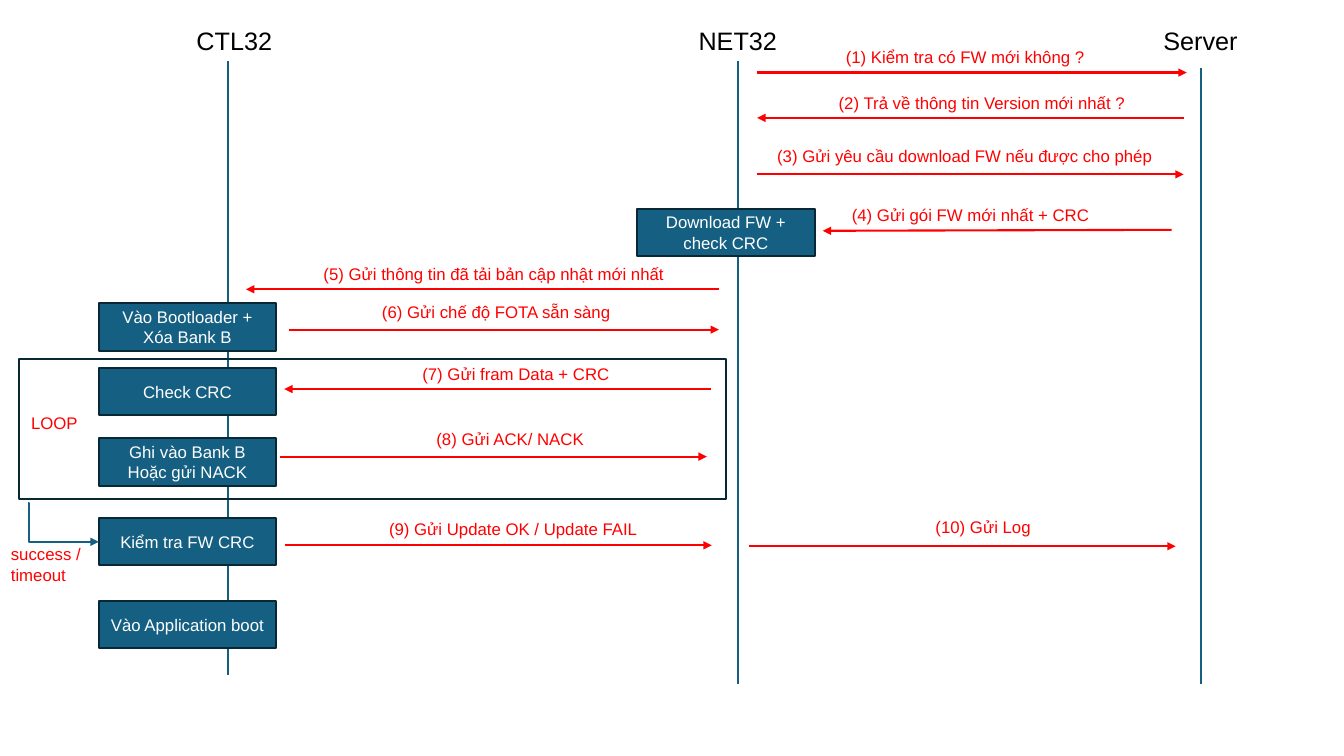
from lxml import etree
from pptx import Presentation
from pptx.dml.color import RGBColor
from pptx.enum.shapes import MSO_CONNECTOR, MSO_SHAPE
from pptx.enum.text import MSO_ANCHOR, PP_ALIGN
from pptx.oxml.ns import qn
from pptx.util import Inches, Pt

COLORS = {"teal": "156082", "navy": "082836", "red": "FF0000",
          "black": "000000", "white": "FFFFFF"}

prs = Presentation()
prs.slide_width, prs.slide_height = Inches(13.33), Inches(7.5)
shapes = prs.slides.add_slide(prs.slide_layouts[6]).shapes


def write_text(shape, text, size=12, color="red", align=PP_ALIGN.LEFT,
               anchor=MSO_ANCHOR.TOP, wrap=False):
    frame = shape.text_frame
    frame.word_wrap = wrap
    frame.vertical_anchor = anchor
    frame.text = text
    for paragraph in frame.paragraphs:
        paragraph.alignment = align
        paragraph.font.name = "Arial"
        paragraph.font.size = Pt(size)
        paragraph.font.color.rgb = RGBColor.from_string(COLORS[color])


def draw_line(x1, y1, x2, y2, color, arrow=True, kind=MSO_CONNECTOR.STRAIGHT):
    line = shapes.add_connector(kind, Inches(x1), Inches(y1), Inches(x2), Inches(y2))
    line.line.color.rgb = RGBColor.from_string(COLORS[color])
    line.line.width = Pt(1.5)
    if arrow:
        etree.SubElement(line.line._get_or_add_ln(), qn("a:tailEnd"), type="triangle")
    etree.SubElement(line._element.spPr, qn("a:effectLst"))
    return line


# Lifelines with their headings: name, left, width, line x, top, bottom
lifelines = [
    ("CTL32", 1.85, 1.02, 2.26, 0.61, 6.7),
    ("NET32", 6.83, 0.99, 7.32, 0.61, 6.79),
    ("Server", 11.44, 0.95, 11.91, 0.67, 6.79),
]
for name, left, width, x, top, bottom in lifelines:
    draw_line(x, top, x, bottom, "teal", arrow=False)
    heading = shapes.add_textbox(Inches(left), Inches(0.2), Inches(width), Inches(0.4))
    write_text(heading, name, size=18, color="black")

# Loop frame
loop = shapes.add_shape(MSO_SHAPE.RECTANGLE, Inches(0.19), Inches(3.56),
                        Inches(7.01), Inches(1.39))
loop.shadow.inherit = False
loop.fill.background()
loop.line.color.rgb = RGBColor.from_string(COLORS["navy"])
loop.line.width = Pt(1.5)

# Processing steps: text, left, top
steps = [
    ("Download FW + check CRC", 6.32, 2.07),
    ("Vào Bootloader +\nXóa Bank B", 0.98, 3.01),
    ("Check CRC", 0.98, 3.65),
    ("Ghi vào Bank B\nHoặc gửi NACK", 0.98, 4.35),
    ("Kiểm tra FW CRC", 0.98, 5.14),
    ("Vào Application boot", 0.98, 5.96),
]
step_boxes = {}
for text, left, top in steps:
    step = shapes.add_shape(MSO_SHAPE.RECTANGLE, Inches(left), Inches(top),
                            Inches(1.76), Inches(0.47))
    step.shadow.inherit = False
    step.fill.solid()
    step.fill.fore_color.rgb = RGBColor.from_string(COLORS["teal"])
    step.line.color.rgb = RGBColor.from_string(COLORS["navy"])
    step.line.width = Pt(1.5)
    write_text(step, text, color="white", align=PP_ALIGN.CENTER,
               anchor=MSO_ANCHOR.MIDDLE, wrap=True)
    step_boxes[text] = step

# Message arrows: x1, y1, x2, y2
messages = [
    (7.51, 0.72, 11.77, 0.72),
    (11.74, 1.17, 7.51, 1.17),
    (7.51, 1.73, 11.74, 1.73),
    (11.62, 2.28, 8.16, 2.29),
    (7.13, 2.87, 2.44, 2.87),
    (2.87, 3.27, 7.13, 3.27),
    (7.05, 3.86, 2.82, 3.86),
    (2.78, 4.53, 7.01, 4.53),
    (2.83, 5.41, 7.06, 5.41),
    (7.43, 5.42, 11.66, 5.42),
]
for ends in messages:
    draw_line(*ends, "red")

# Red labels: text, left, top, width
labels = [
    ("(1) Kiểm tra có FW mới không ?", 8.29, 0.41, 2.59),
    ("(2) Trả về thông tin Version mới nhất ?", 8.22, 0.87, 3.07),
    ("(3) Gửi yêu cầu download FW nếu được cho phép", 7.61, 1.4, 3.95),
    ("(4) Gửi gói FW mới nhất + CRC", 8.35, 1.98, 2.58),
    ("(5) Gửi thông tin đã tải bản cập nhật mới nhất", 3.11, 2.57, 3.61),
    ("(6) Gửi chế độ FOTA sẵn sàng", 3.69, 2.94, 2.49),
    ("(7) Gửi fram Data + CRC", 4.09, 3.56, 2.08),
    ("(8) Gửi ACK/ NACK", 4.23, 4.2, 1.68),
    ("(9) Gửi Update OK / Update FAIL", 3.76, 5.1, 2.69),
    ("(10) Gửi Log", 9.18, 5.08, 1.15),
    ("LOOP", 0.21, 4.05, 0.67),
]
for text, left, top, width in labels:
    label = shapes.add_textbox(Inches(left), Inches(top), Inches(width), Inches(0.3))
    write_text(label, text)

# Exit from the loop to the firmware check
loop_exit = draw_line(0.28, 4.99, 0.98, 5.37, "teal", kind=MSO_CONNECTOR.ELBOW)
loop_exit.end_connect(step_boxes["Kiểm tra FW CRC"], 1)
bend = loop_exit._element.spPr.prstGeom.get_or_add_avLst()
etree.SubElement(bend, qn("a:gd"), name="adj1", fmla="val 600")
exit_label = shapes.add_textbox(Inches(0.01), Inches(5.35), Inches(0.93), Inches(0.5))
write_text(exit_label, "success / timeout", wrap=True)

prs.save("out.pptx")
